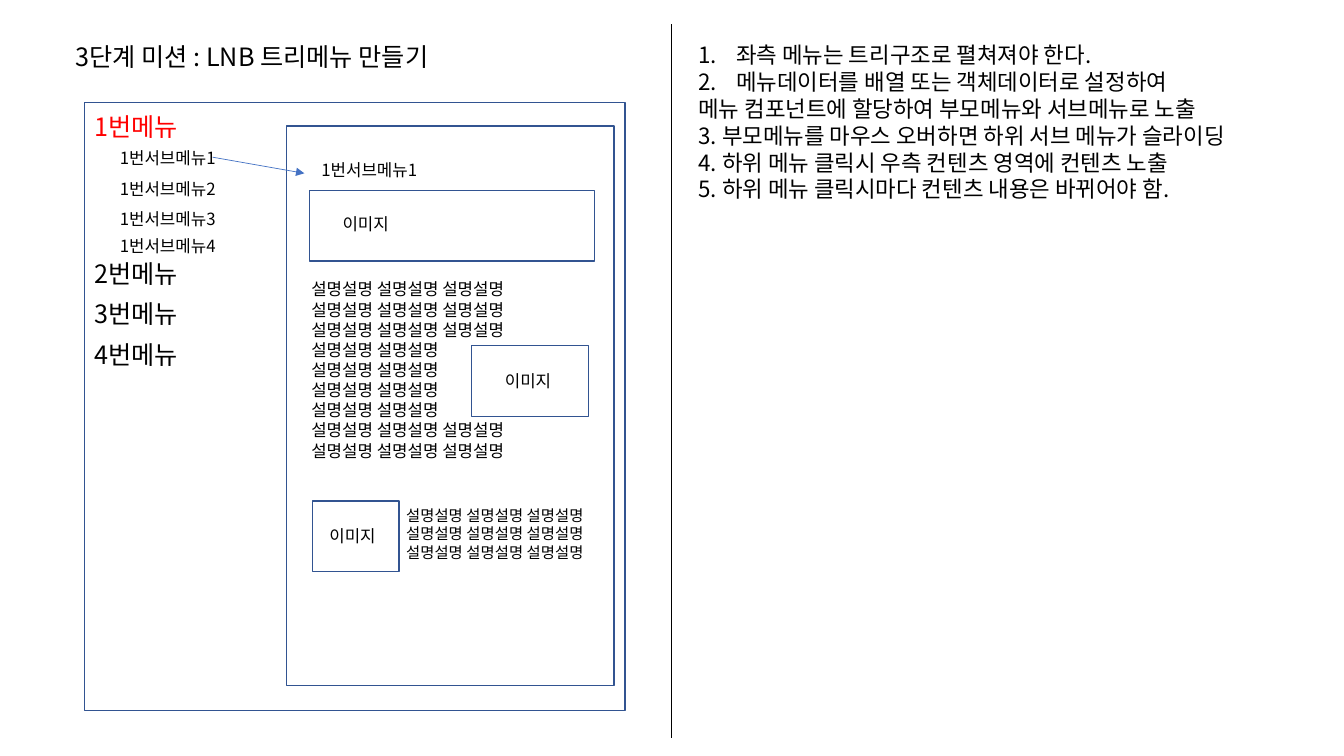
import pptx
import pptx.util
import pptx.dml.color
import pptx.enum.shapes
import pptx.enum.text
import pptx.oxml.ns
from lxml import etree

Pt = pptx.util.Pt
FONT = "Noto Sans CJK KR"
BLACK, RED, NAVY, BLUE = "000000", "FF0000", "325491", "4472C4"

TITLE = "3단계 미션 : LNB 트리메뉴 만들기"
TITLE_BOX = (46.8, 25.9, 293.8, 28.8)

# left, top, width, height
FRAMES = [
    (60.5, 73.4, 385.9, 434.2),
    (204.5, 90, 234, 399.6),
]
IMAGE_LABEL = "이미지"
# frame of each image area, then left and top of its label
IMAGES = [
    ((221, 136.1, 203.8, 50.4), (237.6, 149)),
    ((337, 247, 83.5, 50.4), (353.5, 261.4)),
    ((223.2, 357.8, 61.9, 50.4), (228.2, 372.2)),
]

MENU_LEFT = 60.5
MENUS = [("1번메뉴", 76.3, RED), ("2번메뉴", 180.7, BLACK),
         ("3번메뉴", 209.9, BLACK), ("4번메뉴", 239, BLACK)]
SUBMENU_LEFT = 78.5
SUBMENUS = [("1번서브메뉴1", 102.2), ("1번서브메뉴2", 123.8),
            ("1번서브메뉴3", 145.4), ("1번서브메뉴4", 164.9)]
CONTENT_HEADING_AT = (222.5, 110.2)

LONG = "설명설명 설명설명 설명설명"
SHORT = "설명설명 설명설명"
BODY = [LONG] * 3 + [SHORT] * 4 + [LONG] * 2
CAPTION = [LONG] * 3

NUMBERED = ["좌측 메뉴는 트리구조로 펼쳐져야 한다.",
            "메뉴데이터를 배열 또는 객체데이터로 설정하여"]
TYPED = ["메뉴 컴포넌트에 할당하여 부모메뉴와 서브메뉴로 노출",
         "3. 부모메뉴를 마우스 오버하면 하위 서브 메뉴가 슬라이딩",
         "4. 하위 메뉴 클릭시 우측 컨텐츠 영역에 컨텐츠 노출",
         "5. 하위 메뉴 클릭시마다 컨텐츠 내용은 바뀌어야 함."]
NUMBER_INDENT = 27


def rgb(color):
    return pptx.dml.color.RGBColor.from_string(color)


def child(parent, tag, **attrs):
    return etree.SubElement(parent, pptx.oxml.ns.qn(tag), attrs)


def write(sp, lines, size, color=BLACK, numbered=0):
    """Fill a shape with one paragraph per line, numbering the first ones."""
    tf = sp.text_frame
    tf.word_wrap = False
    tf.auto_size = pptx.enum.text.MSO_AUTO_SIZE.SHAPE_TO_FIT_TEXT
    tf.vertical_anchor = pptx.enum.text.MSO_ANCHOR.TOP
    for i, line in enumerate(lines):
        p = tf.paragraphs[0] if i == 0 else tf.add_paragraph()
        p.alignment = pptx.enum.text.PP_ALIGN.LEFT
        if i < numbered:
            pPr = p._p.get_or_add_pPr()
            pPr.set("marL", str(Pt(NUMBER_INDENT)))
            pPr.set("indent", str(-Pt(NUMBER_INDENT)))
            child(pPr, "a:buFont", typeface="+mj-lt")
            child(pPr, "a:buAutoNum", type="arabicPeriod")
        r = p.add_run()
        r.text = line
        r.font.size = Pt(size)
        r.font.color.rgb = rgb(color)
        r.font.name = FONT
        child(r._r.get_or_add_rPr(), "a:ea", typeface=FONT)


def add_text(box, lines, size, **style):
    write(slide.shapes.add_textbox(*map(Pt, box)), lines, size, **style)


def add_frame(box):
    sp = slide.shapes.add_shape(pptx.enum.shapes.MSO_SHAPE.RECTANGLE, *map(Pt, box))
    sp.shadow.inherit = False
    sp.fill.background()
    sp.line.color.rgb = rgb(NAVY)
    sp.line.width = Pt(1)


def add_line(ends, color, arrow=False):
    cx = slide.shapes.add_connector(
        pptx.enum.shapes.MSO_CONNECTOR.STRAIGHT, *map(Pt, ends))
    cx.line.color.rgb = rgb(color)
    cx.line.width = Pt(0.5)
    if arrow:
        child(cx.line._get_or_add_ln(), "a:tailEnd", type="triangle")
    child(cx._element.spPr, "a:effectLst")


prs = pptx.Presentation()
prs.slide_width, prs.slide_height = Pt(960), Pt(540)
slide = prs.slides.add_slide(prs.slide_layouts[5])

title = slide.shapes.title
title.left, title.top, title.width, title.height = map(Pt, TITLE_BOX)
write(title, [TITLE], 18)

for frame in FRAMES:
    add_frame(frame)
add_line((479.5, 17.3, 479.5, 527), BLACK)
add_text((491.8, 25.9, 438.5, 123.8), NUMBERED + TYPED, 16, numbered=len(NUMBERED))

for name, top, color in MENUS:
    add_text((MENU_LEFT, top, 79.2, 28.8), [name], 18, color=color)
for name, top in SUBMENUS:
    add_text((SUBMENU_LEFT, top, 88.6, 21.6), [name], 12)
add_line((151.9, 112.3, 217.4, 123.8), BLUE, arrow=True)
add_text((*CONTENT_HEADING_AT, 88.6, 21.6), [SUBMENUS[0][0]], 12)

for frame, label_at in IMAGES:
    add_frame(frame)
    add_text((*label_at, 51.1, 21.6), [IMAGE_LABEL], 12)
add_text((215.3, 195.8, 172.8, 152.6), BODY, 12)
add_text((283, 357.8, 159.8, 47.5), CAPTION, 11)

prs.save("out.pptx")
